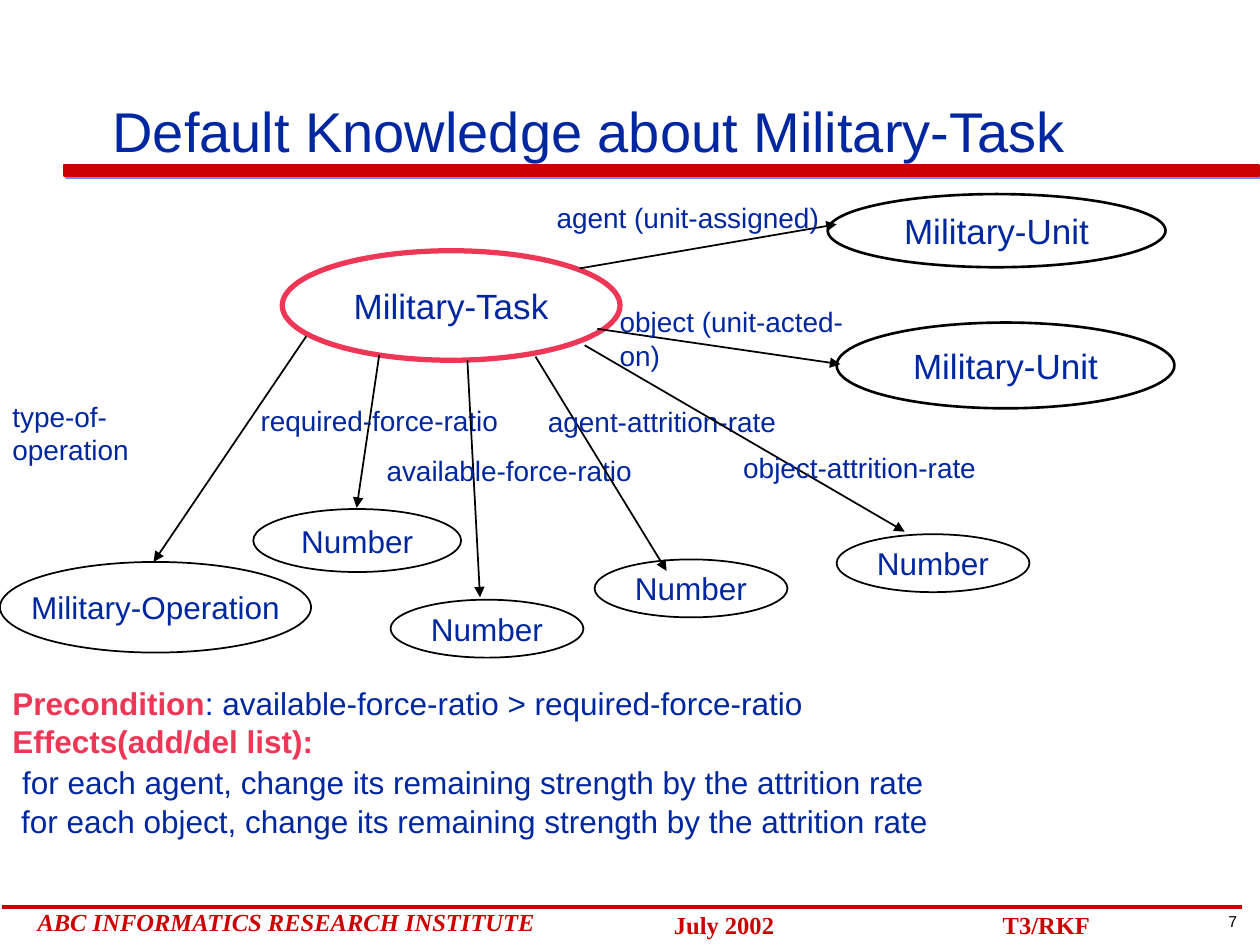
from typing import NamedTuple

from lxml.etree import SubElement
from pptx import Presentation
from pptx.dml.color import RGBColor
from pptx.enum.shapes import MSO_CONNECTOR, MSO_SHAPE
from pptx.enum.text import MSO_ANCHOR as ANCHOR, MSO_AUTO_SIZE as AUTO, PP_ALIGN as ALIGN
from pptx.oxml.ns import qn
from pptx.util import Pt

NAVY = RGBColor(0x00, 0x27, 0x9F)
PINK = RGBColor(0xEE, 0x37, 0x57)
RED = RGBColor(0xCC, 0x00, 0x00)
BLACK = RGBColor(0x00, 0x00, 0x00)
SHADOW = RGBColor(0x80, 0x80, 0xFF)
SERIF = "Times New Roman"


class Run(NamedTuple):
    text: str
    size: float
    color: RGBColor = NAVY
    bold: bool = False
    italic: bool = False
    font: str = "Arial"


class Concept(NamedTuple):
    name: str
    x: float
    y: float
    w: float
    h: float
    size: float = 18
    line_w: float = 1
    color: RGBColor = BLACK


class Relation(NamedTuple):
    """A labelled arrow between two concepts."""
    label: str
    x: float
    y: float
    w: float
    wrap: bool
    start: tuple[float, float]
    end: tuple[float, float]


class Footer(NamedTuple):
    run: Run
    x: float
    y: float
    w: float
    h: float = 24
    align: ALIGN = ALIGN.LEFT


NUMBER = {"w": 110.2, "h": 33.1}
CONCEPTS = [
    Concept("Military-Task", 161.3, 143.3, 193, 62.6, 20, 3, PINK),
    Concept("Military-Unit", 473, 110.9, 193, 41.8, 20, 1.5),
    Concept("Military-Unit", 478.1, 184.3, 193, 49, 20, 1.5),
    Concept("Military-Operation", 0, 321.1, 177.8, 51.8),
    Concept("Number", 144.7, 290.9, 118.8, 36),
    Concept("Number", 223.2, 342.7, **NUMBER),
    Concept("Number", 339.8, 319.7, **NUMBER),
    Concept("Number", 478.1, 305.3, **NUMBER),
]
RELATIONS = [
    Relation("agent (unit-assigned)", 311, 110.9, 164.2, False, (331.2, 153.4), (478.1, 128.2)),
    Relation("object (unit-acted-on)", 347, 170.6, 164.9, False, (341.3, 187.9), (480.2, 208.1)),
    Relation("type-of-operation", 0, 224.6, 134.6, False, (175, 192.2), (87.8, 321.1)),
    Relation("required-force-ratio", 141.8, 226.8, 150.5, True, (216.7, 203), (203.8, 290.2)),
    Relation("available-force-ratio", 213.8, 255.6, 157, True, (267.1, 205.9), (274.3, 341.3)),
    Relation("agent-attrition-rate", 306, 227.5, 150.5, True, (306, 203.8), (380.9, 326.2)),
    Relation("object-attrition-rate", 417.6, 254.2, 150.5, True, (334.1, 197.3), (517, 303.8)),
]
RULES = [
    [Run("Precondition", 18, PINK, True),
     Run(": available-force-ratio > required-force-ratio", 18)],
    [Run("Effects(add/del list):", 18, PINK, True)],
    [Run(" ", 20),
     Run("for each agent, change its remaining strength by the attrition rate", 18)],
    [Run(" for each object, change its remaining strength by the attrition rate", 18)],
]
FOOTERS = [
    Footer(Run("7", 9, BLACK), 676.8, 517.7, 55.4, 18, ALIGN.CENTER),
    Footer(Run("ABC INFORMATICS RESEARCH INSTITUTE", 14, RED, True, True, SERIF),
           14.4, 514.8, 313.9),
    Footer(Run("T3/RKF", 14, RED, True, font=SERIF), 565.9, 516.2, 118.1),
    Footer(Run("July 2002", 14, RED, True, font=SERIF), 378, 516.2, 118.1),
]


def fill_text(tf, paragraphs: list[list[Run]], align=ALIGN.LEFT, **frame) -> None:
    for name, value in frame.items():
        setattr(tf, name, value)
    for i, runs in enumerate(paragraphs):
        p = tf.add_paragraph() if i else tf.paragraphs[0]
        p.alignment = align
        for run in runs:
            r = p.add_run()
            r.text = run.text
            r.font.color.rgb = run.color
            style = {"name": run.font, "size": Pt(run.size),
                     "bold": run.bold, "italic": run.italic}
            for name, value in style.items():
                setattr(r.font, name, value)


def add_text(s, x, y, w, h, paragraphs, wrap=True, align=ALIGN.LEFT) -> None:
    sp = s.shapes.add_textbox(Pt(x), Pt(y), Pt(w), Pt(h))
    fill_text(sp.text_frame, paragraphs, align, word_wrap=wrap,
              auto_size=AUTO.SHAPE_TO_FIT_TEXT)


def add_line(s, start, end, color=BLACK, width=1.0, arrow=False) -> None:
    sp = s.shapes.add_connector(MSO_CONNECTOR.STRAIGHT, *map(Pt, start + end))
    sp.line.color.rgb = color
    sp.line.width = Pt(width)
    if arrow:
        SubElement(sp.line._get_or_add_ln(), qn("a:tailEnd"), type="triangle")
    SubElement(sp._element.spPr, qn("a:effectLst"))


def add_concept(s, c: Concept) -> None:
    sp = s.shapes.add_shape(MSO_SHAPE.OVAL, Pt(c.x), Pt(c.y), Pt(c.w), Pt(c.h))
    sp.shadow.inherit = False
    sp.fill.background()
    sp.line.color.rgb = c.color
    sp.line.width = Pt(c.line_w)
    fill_text(sp.text_frame, [[Run(c.name, c.size)]], ALIGN.CENTER,
              word_wrap=False, vertical_anchor=ANCHOR.MIDDLE)


def add_relation(s, rel: Relation) -> None:
    add_line(s, rel.start, rel.end, arrow=True)
    add_text(s, rel.x, rel.y, rel.w, 26.6, [[Run(rel.label, 16)]], rel.wrap)


def add_title_bar(s) -> None:
    sp = s.shapes.add_shape(MSO_SHAPE.RECTANGLE, Pt(36.7), Pt(94.3), Pt(682.6), Pt(6.5))
    sp.fill.solid()
    sp.fill.fore_color.rgb = RED
    sp.line.color.rgb = RED
    sp.line.width = Pt(1)
    sp.shadow.inherit = False
    effects = sp._element.spPr.find(qn("a:effectLst"))
    shadow = SubElement(effects, qn("a:outerShdw"), dist=str(Pt(1.4)),
                        dir="2700000", algn="ctr", rotWithShape="0")
    SubElement(shadow, qn("a:srgbClr"), val=str(SHADOW))


def add_title(s, text: str) -> None:
    sp = s.shapes.title
    box = {"left": 48.2, "top": 6.5, "width": 610.6, "height": 90.7}
    for name, value in box.items():
        setattr(sp, name, Pt(value))
    fill_text(sp.text_frame, [[Run(text, 32)]], word_wrap=True,
              auto_size=AUTO.NONE, vertical_anchor=ANCHOR.BOTTOM)


def main() -> None:
    prs = Presentation()
    prs.slide_width, prs.slide_height = Pt(720), Pt(540)
    s = prs.slides.add_slide(prs.slide_layouts[5])
    add_title_bar(s)
    add_line(s, (709.9, 518.4), (1.4, 518.4), RED, 2)
    for f in FOOTERS:
        add_text(s, f.x, f.y, f.w, f.h, [[f.run]], f.align == ALIGN.LEFT, f.align)
    add_title(s, " Default Knowledge about Military-Task")
    for concept in CONCEPTS:
        add_concept(s, concept)
    for relation in RELATIONS:
        add_relation(s, relation)
    add_text(s, 0, 387.4, 728.6, 96.5, RULES)
    prs.save("out.pptx")


if __name__ == "__main__":
    main()
